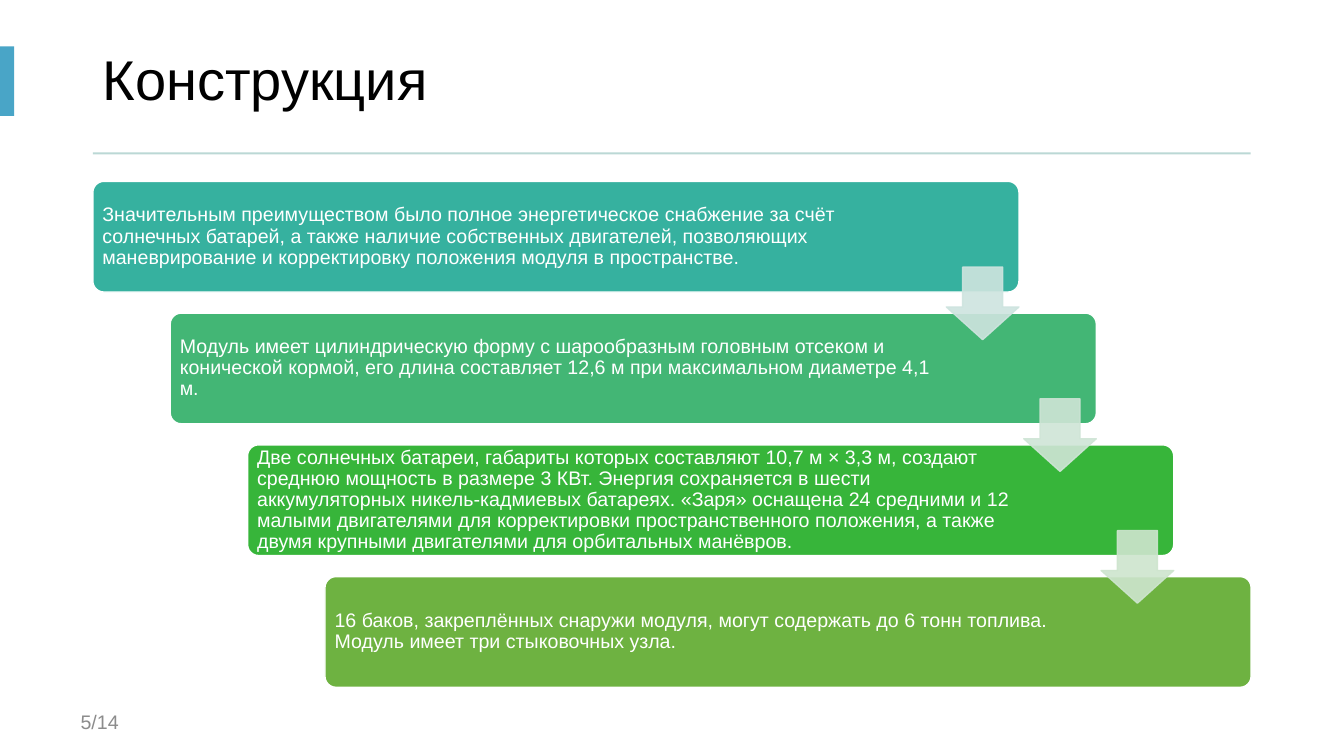
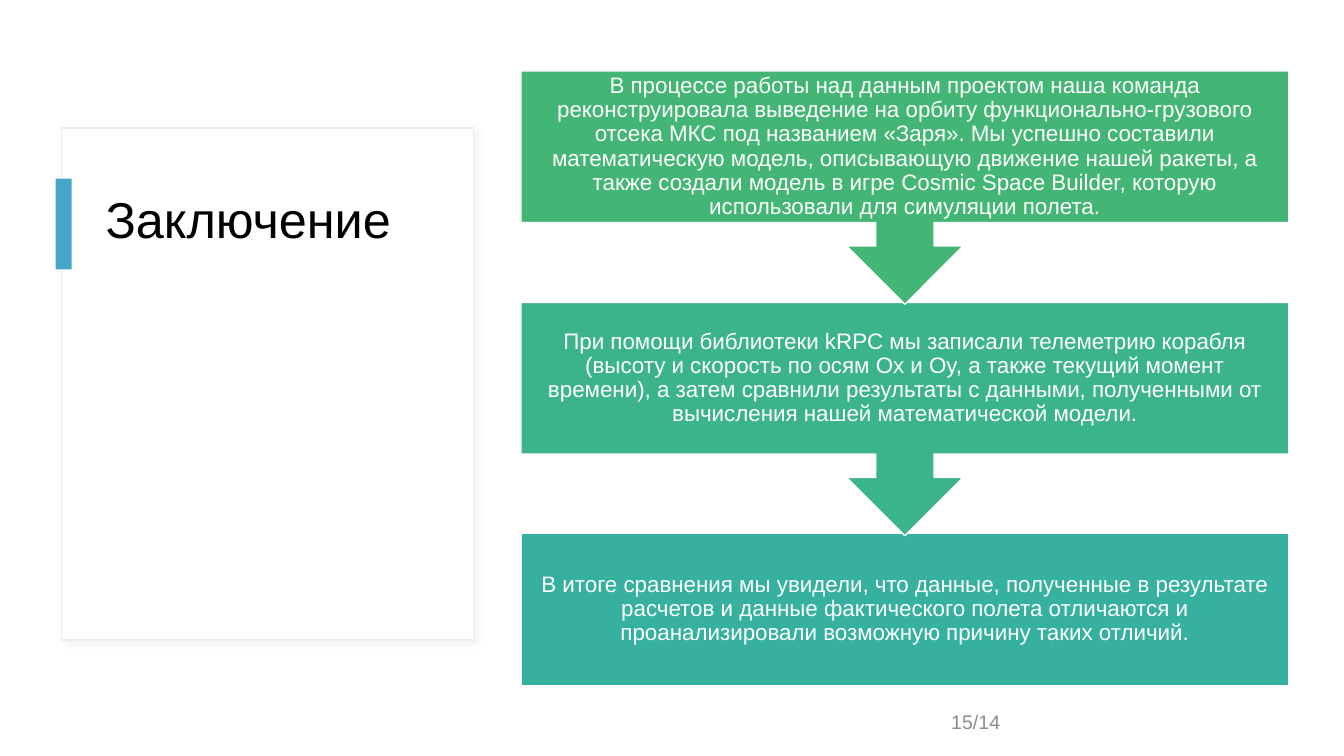
"""Builds two slides about a space station module: its design and the conclusion."""
from lxml import etree
from pptx import Presentation
from pptx.dml.color import RGBColor
from pptx.enum.shapes import MSO_SHAPE
from pptx.enum.text import MSO_ANCHOR, PP_ALIGN
from pptx.oxml.ns import qn
from pptx.util import Cm, Pt

RECTANGLE = MSO_SHAPE.RECTANGLE
ROUNDED = MSO_SHAPE.ROUNDED_RECTANGLE
DOWN_ARROW = MSO_SHAPE.DOWN_ARROW
CALLOUT = MSO_SHAPE.DOWN_ARROW_CALLOUT
TOP, MIDDLE = MSO_ANCHOR.TOP, MSO_ANCHOR.MIDDLE
LEFT, CENTER = PP_ALIGN.LEFT, PP_ALIGN.CENTER

WHITE = RGBColor(0xFF, 0xFF, 0xFF)
BLACK = RGBColor(0x00, 0x00, 0x00)
GRAY = RGBColor(0x8C, 0x8C, 0x8C)
ACCENT = RGBColor(0x49, 0xA5, 0xC7)
DIVIDER = RGBColor(0xBB, 0xD8, 0xD5)
CARD_EDGE = RGBColor(0xE4, 0xF0, 0xEE)
SHADOW = RGBColor(0xD9, 0xD9, 0xD9)
TEAL = RGBColor(0x36, 0xB1, 0x9F)
SEA_GREEN = RGBColor(0x3C, 0xB4, 0x89)
EMERALD = RGBColor(0x43, 0xB6, 0x75)
GREEN = RGBColor(0x37, 0xB5, 0x3A)
OLIVE = RGBColor(0x6E, 0xB2, 0x41)
PALE_TEAL = RGBColor(0xCE, 0xE4, 0xDF)
PALE_EMERALD = RGBColor(0xCF, 0xE5, 0xD6)
PALE_GREEN = RGBColor(0xCE, 0xE5, 0xCE)

FONT = "Arial"
TITLE_INSETS = (0.25, 0.13, 0.25, 0.13)
STEP_INSETS = (0.16, 0, 3.9, 0)
RESULT_INSETS = (0.3, 0, 0.3, 0)

DESIGN_STEPS = [
    (TEAL, "Значительным преимуществом было полное энергетическое снабжение за счёт "
     "солнечных батарей, а также наличие собственных двигателей, позволяющих "
     "маневрирование и корректировку положения модуля в пространстве."),
    (EMERALD, "Модуль имеет цилиндрическую форму с шарообразным головным отсеком и "
     "конической кормой, его длина составляет 12,6 м при максимальном диаметре 4,1 м."),
    (GREEN, "Две солнечных батареи, габариты которых составляют 10,7 м × 3,3 м, создают "
     "среднюю мощность в размере 3 КВт. Энергия сохраняется в шести "
     "аккумуляторных никель-кадмиевых батареях. «Заря» оснащена 24 средними и 12 "
     "малыми двигателями для корректировки пространственного положения, а также "
     "двумя крупными двигателями для орбитальных манёвров."),
    (OLIVE, "16 баков, закреплённых снаружи модуля, могут содержать до 6 тонн топлива. "
     "Модуль имеет три стыковочных узла."),
]
STEP_ARROWS = [PALE_TEAL, PALE_EMERALD, PALE_GREEN]

RESULTS = [
    (EMERALD, CALLOUT, 5.88,
     "В процессе работы над данным проектом наша команда реконструировала выведение "
     "на орбиту функционально-грузового отсека МКС под названием «Заря». Мы успешно "
     "составили математическую модель, описывающую движение нашей ракеты, а также "
     "создали модель в игре Cosmic Space Builder, которую использовали для симуляции "
     "полета."),
    (SEA_GREEN, CALLOUT, 5.88,
     "При помощи библиотеки kRPC мы записали телеметрию корабля (высоту и скорость по "
     "осям Ox и Oy, а также текущий момент времени), а затем сравнили результаты с "
     "данными, полученными от вычисления нашей математической модели."),
    (TEAL, RECTANGLE, 3.82,
     "В итоге сравнения мы увидели, что данные, полученные в результате расчетов и "
     "данные фактического полета отличаются и проанализировали возможную причину "
     "таких отличий."),
]


def write(box, text, size, color, insets=TITLE_INSETS, anchor=MIDDLE, align=LEFT, spacing=0.9):
    """Put one formatted paragraph into a box."""
    frame = box.text_frame
    frame.word_wrap = True
    frame.vertical_anchor = anchor
    for side, inset in zip(("left", "top", "right", "bottom"), insets):
        setattr(frame, f"margin_{side}", Cm(inset))
    para = frame.paragraphs[0]
    para.alignment, para.line_spacing = align, spacing
    span = para.add_run()
    span.text = text
    for name, value in {"name": FONT, "size": Pt(size)}.items():
        setattr(span.font, name, value)
    span.font.color.rgb = color


def add_block(page, kind, place, fill, edge=None, opacity=None):
    """Draw a filled preset shape without shadow."""
    block = page.shapes.add_shape(kind, *map(Cm, place))
    block.shadow.inherit = False
    block.fill.solid()
    block.fill.fore_color.rgb = fill
    if edge is None:
        block.line.fill.background()
    else:
        block.line.color.rgb = edge
        block.line.width = Pt(1)
    if opacity is not None:
        for color in block.element.spPr.iter(qn("a:srgbClr")):
            etree.SubElement(color, qn("a:alpha"), val=str(opacity * 1000))
    return block


def add_shadow(block):
    """Give a block a faint shadow at its lower right."""
    effects = block.element.spPr.find(qn("a:effectLst"))
    outer = etree.SubElement(effects, qn("a:outerShdw"), blurRad=str(Pt(4)),
                             dist=str(Pt(3)), dir=str(45 * 60000))
    color = etree.SubElement(outer, qn("a:srgbClr"), val=str(SHADOW))
    etree.SubElement(color, qn("a:alpha"), val="30000")


def add_text(page, place, text, size, color, **options):
    """Add a text box."""
    write(page.shapes.add_textbox(*map(Cm, place)), text, size, color, **options)


def add_heading(page, title, place, size, bar, anchor=MIDDLE):
    """Add the title and its accent bar."""
    add_text(page, place, title, size, BLACK, anchor=anchor)
    add_block(page, RECTANGLE, bar, ACCENT)


def add_page_number(page, text, left):
    """Add the page number."""
    add_text(page, (left, 17.67, 7.62, 1.02), text, 14, GRAY, spacing=1.0)


def build_design(page):
    """Lay out the staircase of design facts."""
    add_heading(page, "Конструкция", (2.34, 0.69, 29.18, 2.79), 40, (0, 1.17, 0.36, 1.75))
    add_block(page, RECTANGLE, (2.34, 3.84, 29.18, 0.05), DIVIDER)
    shift, drop = 1.95, 3.32
    for index, (fill, text) in enumerate(DESIGN_STEPS):
        place = (2.34 + index * shift, 4.57 + index * drop, 23.34, 2.79)
        step = add_block(page, ROUNDED, place, fill, WHITE)
        step.adjustments[0] = 0.1
        write(step, text, 14, WHITE, STEP_INSETS)
    for index, fill in enumerate(STEP_ARROWS):
        place = (23.85 + index * shift, 6.73 + index * drop, 1.83, 1.83)
        arrow = add_block(page, DOWN_ARROW, place, fill, fill, opacity=90)
        arrow.adjustments[0], arrow.adjustments[1] = 0.55, 0.45
    add_page_number(page, "5/14", 1.78)


def build_conclusion(page):
    """Lay out the title card and the chain of results."""
    add_shadow(add_block(page, RECTANGLE, (1.55, 3.23, 10.39, 12.9), WHITE, CARD_EDGE))
    add_heading(page, "Заключение", (2.41, 4.78, 8.61, 9.78), 36, (1.4, 4.5, 0.41, 2.29), TOP)
    add_page_number(page, "15/14", 23.72)
    for index, (fill, kind, height, text) in reversed(list(enumerate(RESULTS))):
        place = (13.13, 1.79 + index * 5.83, 19.35, height)
        result = add_block(page, kind, place, fill, WHITE)
        write(result, text, 16, WHITE, RESULT_INSETS, align=CENTER)


def main():
    """Create the deck and save it."""
    deck = Presentation()
    deck.slide_width, deck.slide_height = Cm(33.87), Cm(19.05)
    for build in (build_design, build_conclusion):
        build(deck.slides.add_slide(deck.slide_layouts[6]))
    deck.save("out.pptx")


if __name__ == "__main__":
    main()
